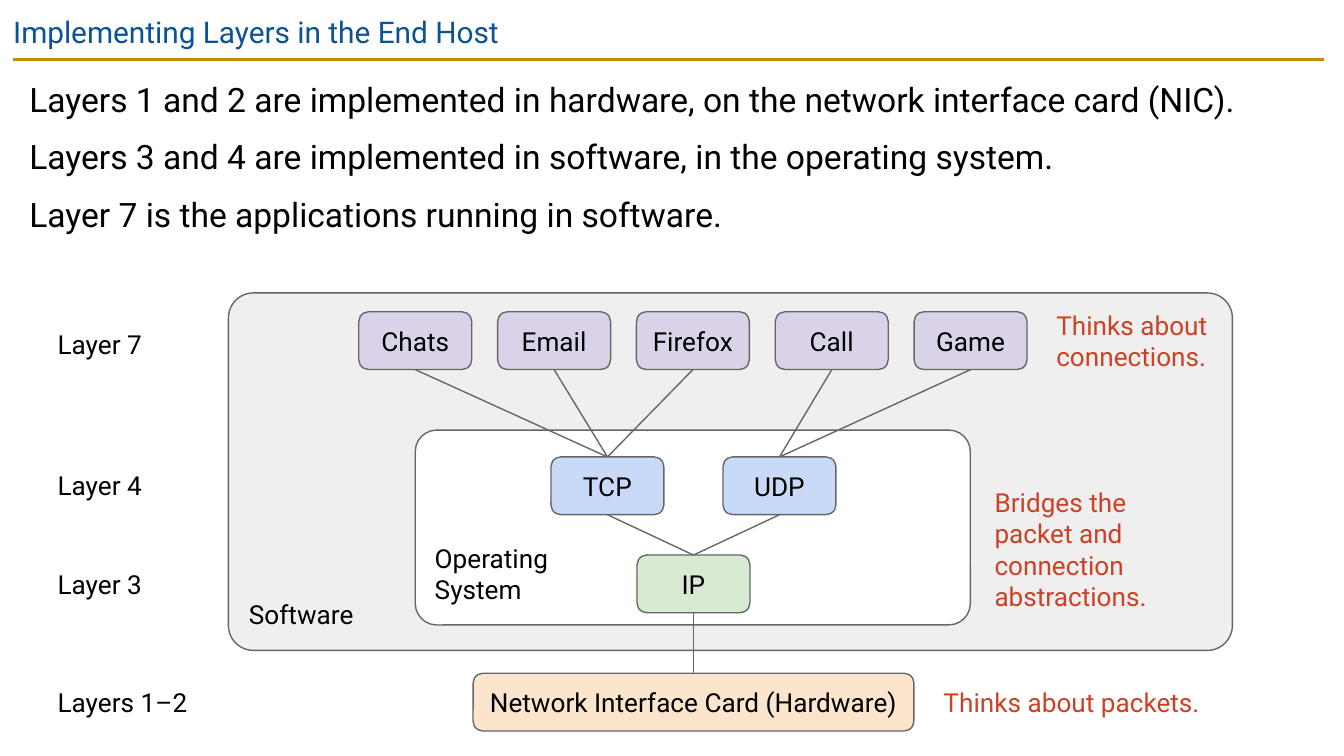
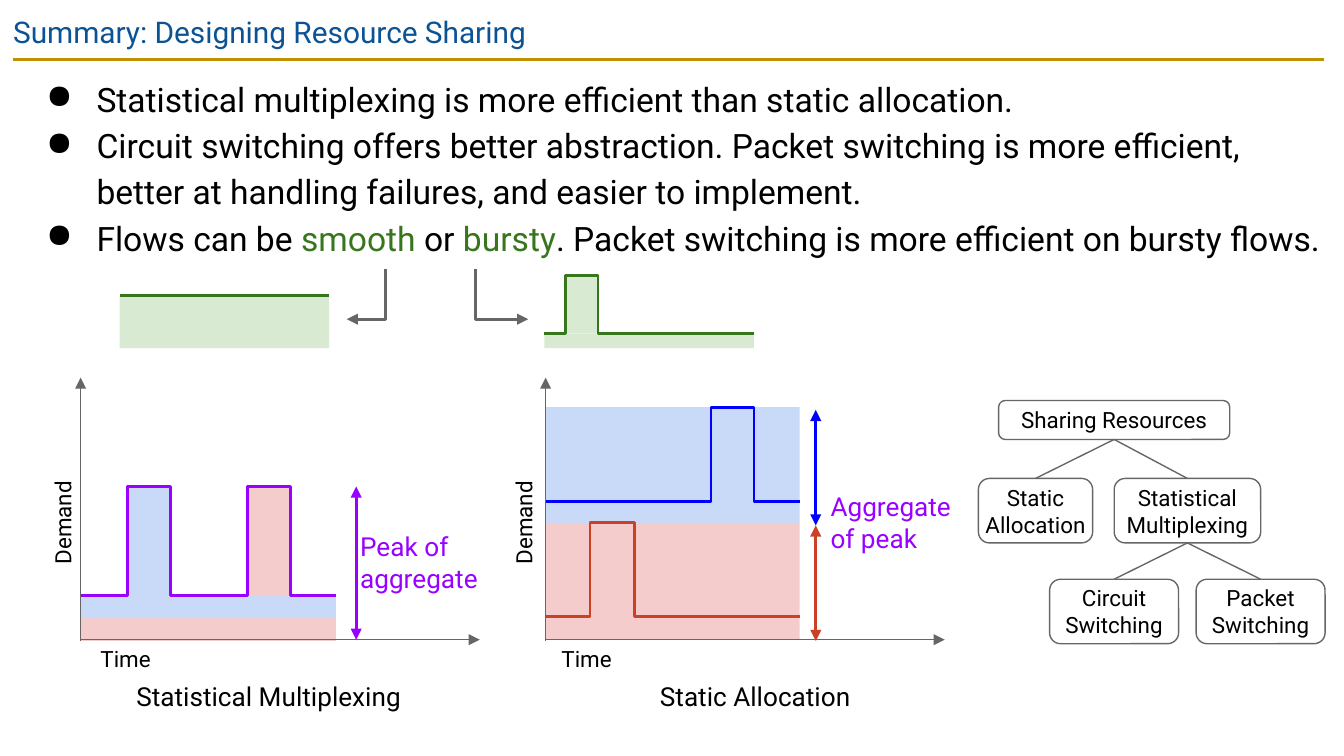
from lxml import etree
from pptx import Presentation, util as u
from pptx.dml.color import RGBColor
from pptx.enum import shapes, text
from pptx.oxml.ns import qn

BLACK = RGBColor(0x00, 0x00, 0x00)
WHITE = RGBColor(0xFF, 0xFF, 0xFF)
GRAY = RGBColor(0x66, 0x66, 0x66)
PALE = RGBColor(0xEF, 0xEF, 0xEF)
NAVY = RGBColor(0x0B, 0x53, 0x94)
GOLD = RGBColor(0xBF, 0x90, 0x00)
RED = RGBColor(0xCC, 0x41, 0x25)
BLUE = RGBColor(0x00, 0x00, 0xFF)
VIOLET = RGBColor(0x99, 0x00, 0xFF)
GREEN = RGBColor(0x38, 0x76, 0x1D)
MINT = RGBColor(0xD9, 0xEA, 0xD3)
SKY = RGBColor(0xC9, 0xDA, 0xF8)
ROSE = RGBColor(0xF4, 0xCC, 0xCC)
LILAC = RGBColor(0xD9, 0xD2, 0xE9)
PEACH = RGBColor(0xFC, 0xE5, 0xCD)
FONT = "Roboto"
LEFT, MID = text.PP_ALIGN.LEFT, text.PP_ALIGN.CENTER
TOP, CENTER, BASE = (text.MSO_ANCHOR.TOP, text.MSO_ANCHOR.MIDDLE,
                     text.MSO_ANCHOR.BOTTOM)

deck = Presentation()
deck.slide_width = u.Inches(10)
deck.slide_height = deck.slide_width * 9 // 16
CELL = deck.slide_width // 100  # square grid, 100 columns wide


def box(page, at, words="", fill=None, edge=None, size=14, color=BLACK,
        align=LEFT, anchor=TOP, pad=0.3, bend=0.17):
    """Text box, plain block or rounded box; words between bars are green."""
    place = [round(v * CELL) for v in at]
    if fill is None and edge is None:
        item = page.shapes.add_textbox(*place)
        item.text_frame.auto_size = text.MSO_AUTO_SIZE.SHAPE_TO_FIT_TEXT
    else:
        kind = shapes.MSO_SHAPE.ROUNDED_RECTANGLE if edge else shapes.MSO_SHAPE.RECTANGLE
        item = page.shapes.add_shape(kind, *place)
        item.shadow.inherit = False
        item.fill.background()
        item.line.fill.background()
        if fill:
            item.fill.solid()
            item.fill.fore_color.rgb = fill
        if edge:
            item.adjustments[0] = bend
            item.line.color.rgb = edge
            item.line.width = u.Pt(0.75)
    if not words:
        return item
    frame = item.text_frame
    frame.word_wrap = True
    frame.vertical_anchor = anchor
    frame.margin_left = frame.margin_right = round(pad * CELL)
    frame.margin_top = frame.margin_bottom = round(pad * CELL)
    for i, row in enumerate(words.split("\n")):
        para = frame.paragraphs[0] if i == 0 else frame.add_paragraph()
        para.alignment = align
        for j, part in enumerate(row.split("|")):
            run = para.add_run()
            run.text = part
            run.font.name = FONT
            run.font.size = u.Pt(size)
            run.font.color.rgb = GREEN if j % 2 else color
    return item


def line(page, dots, color=GRAY, width=0.75, heads=()):
    """Straight connector for two points, open outline for more."""
    dots = [(round(x * CELL), round(y * CELL)) for x, y in dots]
    if len(dots) == 2:
        item = page.shapes.add_connector(shapes.MSO_CONNECTOR.STRAIGHT, *dots[0], *dots[1])
    else:
        pen = page.shapes.build_freeform(*dots[0])
        pen.add_line_segments(dots[1:], close=False)
        item = pen.convert_to_shape()
        item.fill.background()
        item.shadow.inherit = False
    item.line.color.rgb = color
    item.line.width = u.Pt(width)
    props = item._element.spPr
    for end in heads:
        etree.SubElement(props.find(qn("a:ln")), qn("a:" + end), type="triangle")
    if len(dots) == 2:
        etree.SubElement(props, qn("a:effectLst"))
    return item


BOTH = ("headEnd", "tailEnd")
TAIL = ("tailEnd",)
links = []  # page, lower box, upper box

# Pages with title rule
host, share = [deck.slides.add_slide(deck.slide_layouts[6]) for _ in range(2)]
for page in (host, share):
    line(page, [(1, 4.4), (98.5, 4.4)], GOLD, 1.5)

# Containers of the layer diagram
box(host, (17, 21.8, 74.7, 26.6), "Software", PALE, GRAY, anchor=BASE, pad=1, bend=0.07)
box(host, (30.9, 32, 41.3, 14.5), "Operating\nSystem", WHITE, GRAY,
    anchor=BASE, pad=1, bend=0.11)

# Titles and body text
heads = [
    (host, "Implementing Layers in the End Host", (1.2, 4.4, 97.4, 14.5),
     "Layers 1 and 2 are implemented in hardware, on the network interface card (NIC).\n"
     "Layers 3 and 4 are implemented in software, in the operating system.\n"
     "Layer 7 is the applications running in software."),
    (share, "Summary: Designing Resource Sharing", (1.2, 4.4, 98.2, 16.1),
     "Statistical multiplexing is more efficient than static allocation.\n"
     "Circuit switching offers better abstraction. Packet switching is more efficient, "
     "better at handling failures, and easier to implement.\n"
     "Flows can be |smooth| or |bursty|. Packet switching is more efficient on bursty flows."),
]
for page, title, at, words in heads:
    box(page, (0, 0, 100, 4.3), title, size=16, color=NAVY, pad=1)
    body = box(page, at, words, size=18, pad=1)
    for i, para in enumerate(body.text_frame.paragraphs):
        if page is share:
            props = para._p.get_or_add_pPr()
            props.set("marL", str(5 * CELL))
            props.set("indent", str(round(-3.75 * CELL)))
            tint = etree.SubElement(props, qn("a:buClr"))
            etree.SubElement(tint, qn("a:srgbClr"), val=str(BLACK))
            etree.SubElement(props, qn("a:buChar"), char="●")
        elif i:
            para.space_before = u.Pt(6)
        para.line_spacing = 1.15

# Layer boxes
nodes = {}
cards = [("Network Interface Card (Hardware)", 35.2, 50.1, 32.8, PEACH),
         ("IP", 47.4, 41.3, 8.4, MINT),
         ("TCP", 41, 34, 8.4, SKY), ("UDP", 53.8, 34, 8.4, SKY)]
apps = ["Chats", "Email", "Firefox", "Call", "Game"]
cards += [(app, 26.7 + 10.33 * i, 23.2, 8.4, LILAC) for i, app in enumerate(apps)]
for name, x, y, wide, fill in cards:
    nodes[name] = box(host, (x, y, wide, 4.3), name, fill, GRAY,
                      align=MID, anchor=CENTER, pad=1)
pairs = [(cards[0][0], "IP"), ("IP", "TCP"), ("IP", "UDP")]
pairs += [("TCP" if i < 3 else "UDP", app) for i, app in enumerate(apps)]
links += [(host, nodes[low], nodes[high]) for low, high in pairs]

# Layer names and remarks
for name, y in [("Layers 1–2", 50.1), ("Layer 3", 41.3), ("Layer 4", 33.9), ("Layer 7", 23.4)]:
    box(host, (3.3, y, 11.8, 4.4), name, pad=1)
for at, words in [((69.9, 50.8, 19.8, 3), "Thinks about packets."),
                  ((73.7, 35.9, 16.7, 7.7), "Bridges the packet and connection abstractions."),
                  ((78.3, 22.7, 12.7, 5.3), "Thinks about connections.")]:
    box(host, at, words, color=RED)

# Areas under the demand curves
for *at, fill in [(40.6, 30.3, 18.9, 8.7, SKY), (40.6, 38.9, 18.9, 8.7, ROSE),
                  (18.4, 36.3, 3.2, 8.1, ROSE), (9.4, 36.3, 3.2, 8.1, SKY),
                  (6, 46, 19, 1.7, ROSE), (6, 44.3, 19, 1.7, SKY),
                  (8.9, 22, 15.6, 3.9, MINT),
                  (42.1, 20.5, 2.4, 4.3, MINT), (40.5, 24.8, 15.6, 1.1, MINT)]:
    box(share, at, fill=fill)

# Demand curves: start, end, base, peak, pulses
for start, end, base, peak, pulses, color in [
        (6, 25, 44.3, 36.2, [(9.5, 12.7), (18.4, 21.6)], VIOLET),
        (40.6, 59.5, 45.9, 38.9, [(43.9, 47.2)], RED),
        (40.6, 59.5, 37.3, 30.3, [(52.9, 56.1)], BLUE),
        (40.5, 56.1, 24.8, 20.5, [(42.1, 44.5)], GREEN),
        (8.9, 24.5, 22, 22, [], GREEN)]:
    dots = [(start, base)]
    for a, b in pulses:
        dots += [(a, base), (a, peak), (b, peak), (b, base)]
    line(share, dots + [(end, base)], color, 1.5)

# Axes and their names
for x, time, demand, note, name in [(6, 6.7, 0.6, 9, "Statistical Multiplexing"),
                                    (40.6, 41, 34.9, 45.2, "Static Allocation")]:
    line(share, [(x, 47.6), (x + 29.7, 47.6)], heads=TAIL)
    line(share, [(x, 47.7), (x, 28.1)], heads=TAIL)
    box(share, (time, 47.7, 5.3, 2.6), "Time", size=12, align=MID)
    box(share, (demand, 37.6, 8.1, 2.6), "Demand", size=12, align=MID).rotation = 270
    box(share, (note, 50.3, 22, 3), name, align=MID)

# Peak measures
for x, low, high, color in [(26.5, 47.6, 36.2, VIOLET),
                            (60.7, 47.7, 39.1, RED), (60.7, 39.1, 30.5, BLUE)]:
    line(share, [(x, low), (x, high)], color, 1.5, BOTH)
for x, y, words in [(26.5, 39.2, "Peak of aggregate"), (61.5, 36.2, "Aggregate of peak")]:
    box(share, (x, y, 9.6, 5.3), words, color=VIOLET)

# Arrows from the words smooth and bursty
for x, tip in [(28.7, 25.8), (35.4, 39.3)]:
    line(share, [(x, 20), (x, 23.75), (tip, 23.75)], GRAY, 1.5, TAIL)

# Tree of sharing methods: name, place, parent
tree = {}
for name, at, top in [
        ("Sharing Resources", (74.3, 29.8, 17.2, 2.9), None),
        ("Static Allocation", (72.8, 35.6, 8.5, 4.8), "Sharing Resources"),
        ("Statistical Multiplexing", (82.9, 35.6, 10.9, 4.8), "Sharing Resources"),
        ("Circuit Switching", (78.1, 43.1, 9.6, 4.8), "Statistical Multiplexing"),
        ("Packet Switching", (89, 43.1, 9.6, 4.8), "Statistical Multiplexing")]:
    tree[name] = box(share, at, name, edge=GRAY, size=12, align=MID, anchor=CENTER, pad=0)
    if top:
        links.append((share, tree[name], tree[top]))

# Links from the top of each lower box to the foot of the upper one
for page, low, high in links:
    link = line(page, [(0, 0), (0, 0)])
    link.begin_connect(low, 0)
    link.end_connect(high, 2)

deck.save("out.pptx")
